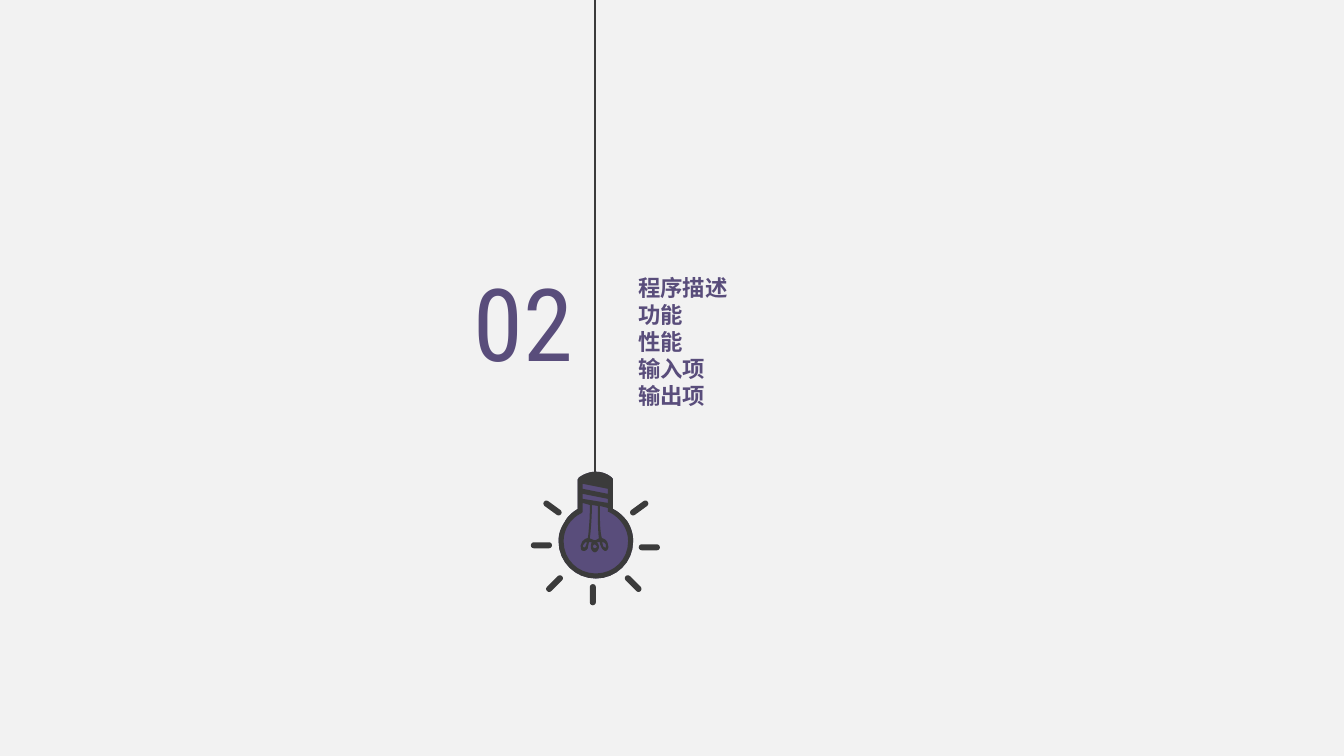
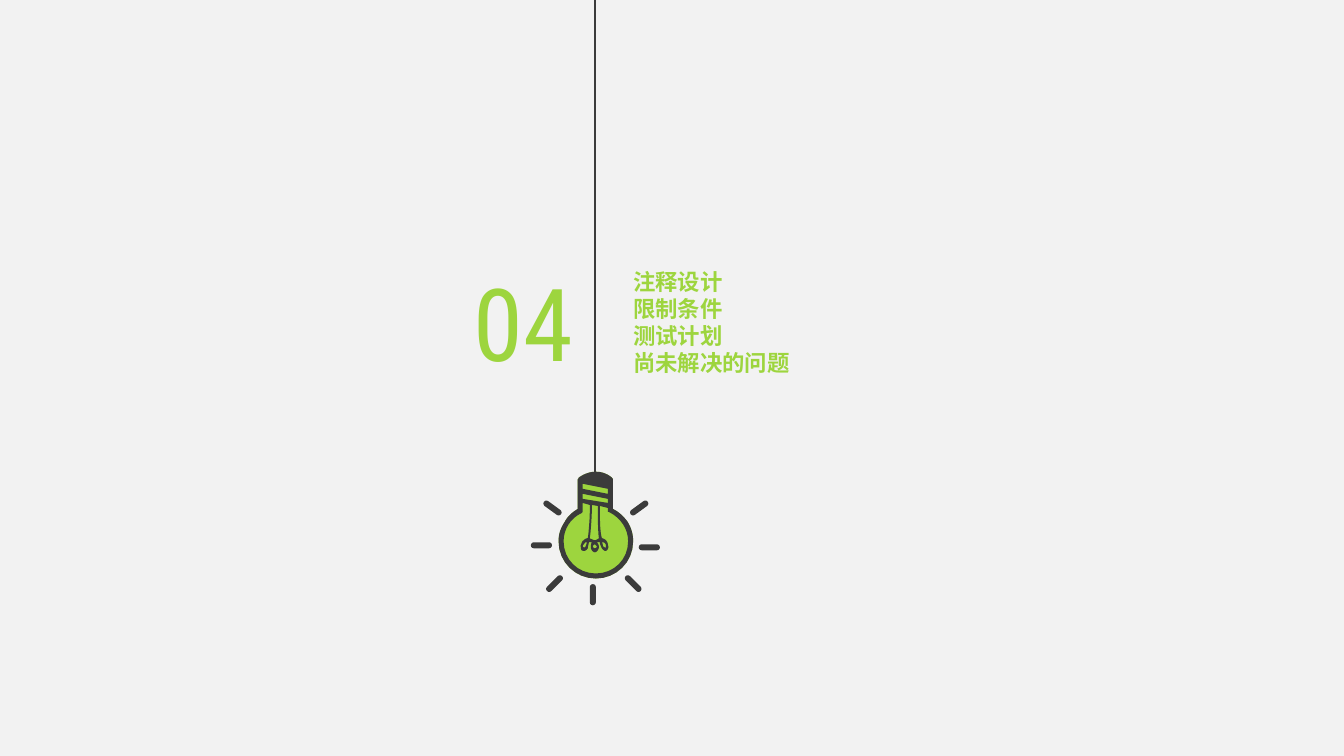
from lxml import etree
from pptx import Presentation
from pptx import util as u
from pptx.dml.color import RGBColor
from pptx.enum import shapes, text
from pptx.oxml.ns import qn

COLORS = {"paper": "F2F2F2", "ink": "3B3B3B", "purple": "594D7B", "green": "9DD53E"}
NUMBER_FONT, LIST_FONT = "Roboto Condensed", "Arial"
CORD_X = 5.9
RAY_LENGTH, RAY_WIDTH = 0.21, 0.06
CURVE_STEPS = 8

BULB = (
    "5.91,5.74|6.11,5.74 6.28,5.58 6.28,5.37|6.28,5.3 6.26,5.23 6.22,5.17"
    "|6.18,5.12 6.14,5.08 6.08,5.05|6.08,4.76|6.08,4.76 6.08,4.75 6.07,4.74"
    "|6.07,4.74 6.01,4.68 5.91,4.68|5.81,4.68 5.74,4.74 5.74,4.74"
    "|5.74,4.75 5.73,4.75 5.73,4.76|5.73,5.05|5.68,5.08 5.63,5.12 5.6,5.18"
    "|5.56,5.24 5.54,5.3 5.54,5.37|5.54,5.58 5.71,5.74 5.91,5.74"
)
THREADS = [
    "5.78,4.8|6.03,4.85|6.03,4.9|5.78,4.85",
    "5.78,4.9|6.03,4.95|6.03,4.99|5.78,4.95",
]
GLASS = (
    "5.77,5.09|5.78,5.08|5.78,4.99|5.85,5.01|5.85,5.02 5.85,5.04 5.85,5.06"
    "|5.85,5.14 5.84,5.28 5.83,5.34|5.81,5.34 5.8,5.35 5.79,5.36"
    "|5.77,5.37 5.77,5.39 5.76,5.41|5.76,5.43 5.76,5.45 5.77,5.46"
    "|5.79,5.47 5.81,5.47 5.83,5.44|5.83,5.42 5.84,5.4 5.84,5.38"
    "|5.85,5.38 5.86,5.38 5.87,5.38|5.86,5.4 5.86,5.42 5.86,5.43"
    "|5.86,5.45 5.88,5.48 5.9,5.48|5.92,5.48 5.94,5.45 5.94,5.43"
    "|5.94,5.42 5.94,5.4 5.92,5.38|5.93,5.38 5.94,5.38 5.95,5.38"
    "|5.95,5.4 5.96,5.42 5.97,5.44|5.99,5.47 6.01,5.47 6.02,5.46"
    "|6.03,5.45 6.04,5.43 6.03,5.41|6.03,5.39 6.02,5.37 6.01,5.36"
    "|6,5.35 5.98,5.34 5.97,5.34|5.95,5.28 5.95,5.14 5.95,5.06"
    "|5.95,5.04 5.95,5.03 5.95,5.02|6.03,5.04|6.03,5.08|6.04,5.08"
    "|6.16,5.14 6.23,5.25 6.23,5.37|6.23,5.55 6.09,5.69 5.91,5.69"
    "|5.73,5.69 5.59,5.55 5.59,5.37|5.59,5.25 5.66,5.14 5.77,5.09"
)
FILAMENT_GAPS = [
    "5.91,5.36|5.89,5.36|5.88,5.35 5.86,5.35 5.85,5.34|5.86,5.27 5.87,5.13 5.87,5.06"
    "|5.87,5.01|5.93,5.02|5.93,5.06|5.93,5.13 5.93,5.27 5.94,5.34"
    "|5.93,5.35 5.92,5.35 5.91,5.36",
    "5.92,5.42|5.92,5.43 5.91,5.44 5.9,5.44|5.89,5.44 5.88,5.43 5.88,5.42"
    "|5.88,5.42 5.88,5.41 5.9,5.4|5.91,5.41 5.92,5.42 5.92,5.42",
    "5.82,5.38|5.82,5.4 5.81,5.41 5.81,5.42|5.8,5.43 5.79,5.44 5.79,5.43"
    "|5.78,5.43 5.78,5.42 5.78,5.42|5.78,5.41 5.79,5.4 5.8,5.39|5.8,5.38 5.81,5.38 5.82,5.38",
    "5.97,5.38|5.98,5.38 5.99,5.38 6,5.39|6.01,5.4 6.01,5.41 6.01,5.42"
    "|6.01,5.42 6.01,5.43 6.01,5.43|6,5.44 6,5.43 5.98,5.42|5.98,5.41 5.98,5.4 5.97,5.38",
]
RAYS = [
    (6.44, 5.43, 0), (5.88, 5.9, 90), (5.37, 5.41, 0), (5.48, 5.04, 36),
    (6.34, 5.04, -36), (5.5, 5.79, -45), (6.28, 5.79, 45),
]
SECTIONS = [
    ("02", "purple", 6.33, 2.72, ["程序描述", "功能", "性能", "输入项", "输出项"]),
    ("04", "green", 6.28, 2.66, ["注释设计", "限制条件", "测试计划", "尚未解决的问题"]),
]


def trace(outline):
    points = []
    for segment in outline.split("|"):
        ends = [tuple(map(float, pair.split(","))) for pair in segment.split()]
        if len(ends) == 1:
            points += ends
            continue
        knots = [points[-1]] + ends
        for step in range(1, CURVE_STEPS + 1):
            t = step / CURVE_STEPS
            weights = ((1 - t) ** 3, 3 * t * (1 - t) ** 2, 3 * t * t * (1 - t), t ** 3)
            points.append(tuple(sum(w * k[axis] for w, k in zip(weights, knots)) for axis in (0, 1)))
    return [(u.Inches(x), u.Inches(y)) for x, y in points]


class Deck:
    """Section slides with a hanging lamp, in one shared style."""

    def __init__(self):
        self.prs = Presentation()
        self.prs.slide_width, self.prs.slide_height = u.Inches(13.33), u.Inches(7.5)
        fill = self.prs.slide_master.background.fill
        fill.solid()
        fill.fore_color.rgb = self.color("paper")
        self.s = None

    def color(self, name):
        return RGBColor.from_string(COLORS[name])

    def new_slide(self):
        self.s = self.prs.slides.add_slide(self.prs.slide_layouts[6])

    def paint(self, sp, color):
        sp.shadow.inherit = False
        sp.fill.solid()
        sp.fill.fore_color.rgb = self.color(color)
        sp.line.fill.background()

    def outline(self, group, contours, color):
        first, *rest = [trace(c) for c in contours]
        builder = group.shapes.build_freeform(*first[0], scale=1.0)
        builder.add_line_segments(first[1:], close=True)
        for points in rest:
            builder.move_to(*points[0])
            builder.add_line_segments(points[1:], close=True)
        self.paint(builder.convert_to_shape(), color)

    def ray(self, group, cx, cy, angle):
        sp = group.shapes.add_shape(
            shapes.MSO_SHAPE.ROUNDED_RECTANGLE,
            u.Inches(cx - RAY_LENGTH / 2), u.Inches(cy - RAY_WIDTH / 2),
            u.Inches(RAY_LENGTH), u.Inches(RAY_WIDTH))
        sp.adjustments[0] = 0.5
        sp.rotation = angle
        self.paint(sp, "ink")

    def cord(self, group):
        line = group.shapes.add_connector(
            shapes.MSO_CONNECTOR.STRAIGHT,
            u.Inches(CORD_X), u.Inches(4.76), u.Inches(CORD_X), 0)
        line.line.color.rgb = self.color("ink")
        line.line.width = u.Pt(1)
        etree.SubElement(line._element.spPr, qn("a:effectLst"))

    def lamp(self, color):
        group = self.s.shapes.add_group_shape()
        self.outline(group, [BULB], color)
        self.outline(group, [BULB, *THREADS, GLASS, *FILAMENT_GAPS], "ink")
        for ray in RAYS:
            self.ray(group, *ray)
        self.cord(group)

    def text(self, box, lines, font, size, color, bold=False, align=text.PP_ALIGN.LEFT):
        tf = self.s.shapes.add_textbox(*map(u.Inches, box)).text_frame
        tf.word_wrap = True
        tf.auto_size = text.MSO_AUTO_SIZE.SHAPE_TO_FIT_TEXT
        tf.margin_left = tf.margin_top = tf.margin_right = tf.margin_bottom = 0
        for i, line in enumerate(lines):
            p = tf.add_paragraph() if i else tf.paragraphs[0]
            p.alignment = align
            r = p.add_run()
            r.text = line
            r.font.name, r.font.size, r.font.bold = font, u.Pt(size), bold
            r.font.color.rgb = self.color(color)
            etree.SubElement(r.font._element, qn("a:ea")).set("typeface", font)

    def section(self, number, color, left, top, topics):
        self.new_slide()
        self.lamp(color)
        self.text((4.57, 2.59, 1.24, 1.21), [number], NUMBER_FONT, 72, color,
                  align=text.PP_ALIGN.CENTER)
        self.text((left, top, 2.88, 0.27 * len(topics)), topics, LIST_FONT, 16, color, bold=True)


def main():
    deck = Deck()
    for section in SECTIONS:
        deck.section(*section)
    deck.prs.save("out.pptx")


if __name__ == "__main__":
    main()
